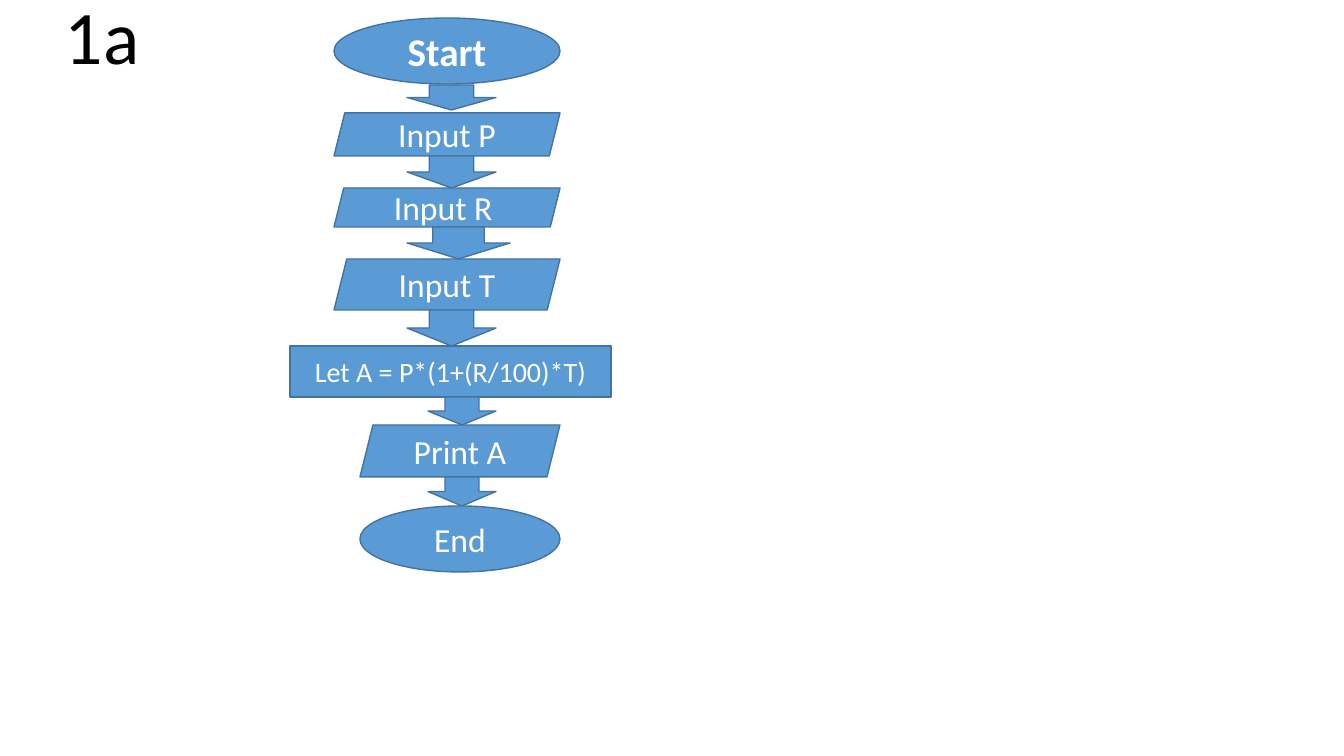
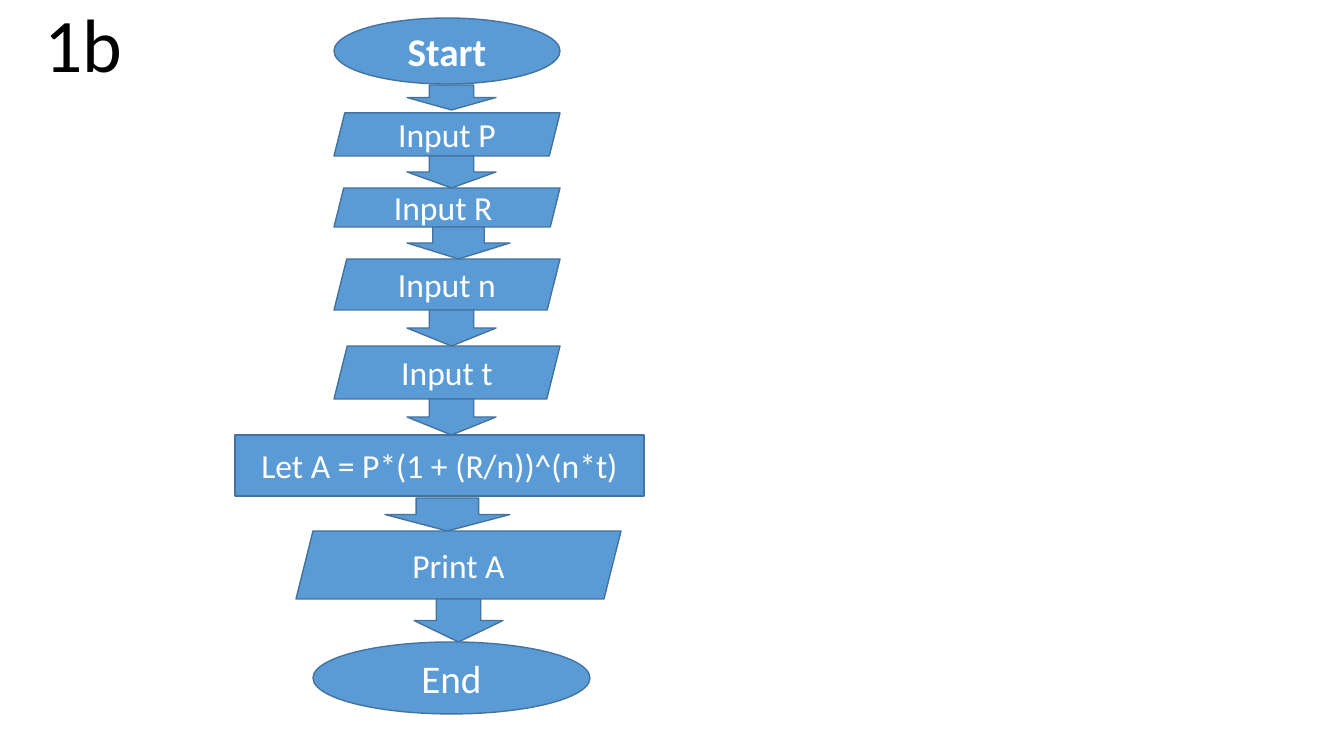
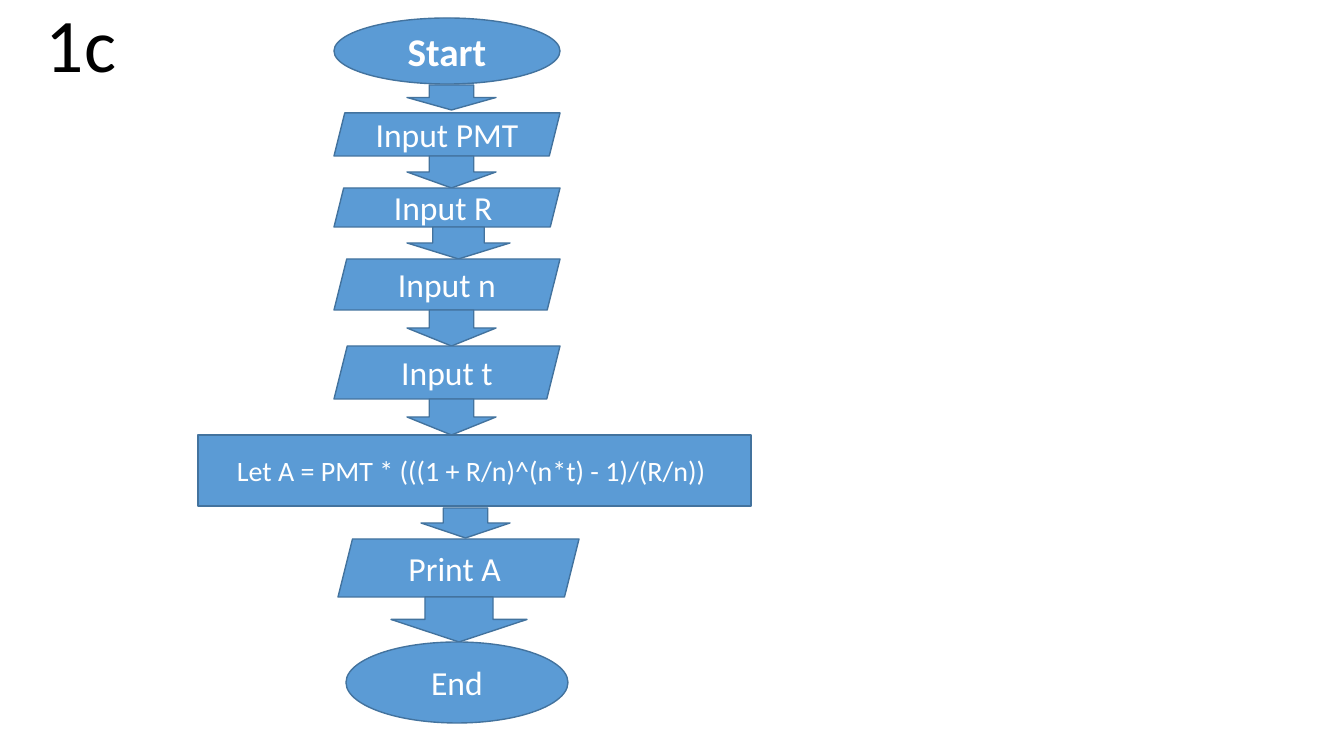
from dataclasses import dataclass

from pptx import Presentation
from pptx.dml.color import RGBColor
from pptx.enum.shapes import MSO_SHAPE
from pptx.enum.text import MSO_ANCHOR, PP_ALIGN
from pptx.util import Emu, Pt

TERMINAL = MSO_SHAPE.OVAL
IN_OUT = MSO_SHAPE.PARALLELOGRAM
PROCESS = MSO_SHAPE.RECTANGLE
DOWN_ARROW = MSO_SHAPE.DOWN_ARROW
MIDDLE = MSO_ANCHOR.MIDDLE
BOTTOM = MSO_ANCHOR.BOTTOM
CENTER = PP_ALIGN.CENTER

EMU_PER_PIXEL = 914400 / 100.8
SLIDE_SIZE = (1344, 756)
BLANK_LAYOUT = 6


@dataclass(frozen=True)
class Theme:
    """Colours, font and type sizes shared by all slides."""
    fill: RGBColor = RGBColor(0x5B, 0x9B, 0xD5)
    outline: RGBColor = RGBColor(0x43, 0x73, 0x9E)
    title_color: RGBColor = RGBColor(0, 0, 0)
    step_color: RGBColor = RGBColor(0xFF, 0xFF, 0xFF)
    font: str = "Calibri"
    outline_width: int = 1
    title_size: int = 54
    large: int = 28
    normal: int = 24
    small: int = 20


THEME = Theme()


@dataclass(frozen=True)
class Arrow:
    """The arrow below a step, with its gaps to the steps it joins."""
    left: int = 407
    width: int = 89
    gap_above: int = 0
    gap_below: int = 0


@dataclass(frozen=True)
class Step:
    """One flowchart step; the last step has no arrow."""
    kind: MSO_SHAPE
    text: str
    left: int
    top: int
    width: int
    height: int
    size: int = THEME.normal
    bold: bool = False
    arrow: Arrow | None = Arrow()


def input_step(text, top, height, arrow=Arrow()):
    """Return an input step in the common column."""
    return Step(IN_OUT, text, 334, top, 226, height, arrow=arrow)


def opening_steps(first_input, third_input):
    """Return the start and the three inputs that open every flowchart."""
    return [
        Step(TERMINAL, "Start", 334, 18, 226, 66, THEME.large, True,
             Arrow(gap_above=1, gap_below=3)),
        input_step(first_input, 113, 43),
        input_step("Input R ", 188, 39, Arrow(width=103)),
        input_step(third_input, 259, 51),
    ]


COMPOUND_INPUT = input_step("Input t", 346, 53)

FLOWCHARTS = [
    ("1a", (14, 18, 176, 68), opening_steps("Input P", "Input T") + [
        Step(PROCESS, "Let A = P*(1+(R/100)*T)", 290, 346, 321, 51,
             THEME.small, arrow=Arrow(428, 68)),
        Step(IN_OUT, "Print A", 360, 425, 200, 52, arrow=Arrow(428, 68)),
        Step(TERMINAL, "End", 360, 506, 200, 66, arrow=None),
    ]),
    ("1b", (0, 0, 166, 94), opening_steps("Input P", "Input n") + [
        COMPOUND_INPUT,
        Step(PROCESS, "Let A = P*(1 + (R/n))^(n*t)", 235, 435, 409, 61,
             arrow=Arrow(385, 125, gap_above=2)),
        Step(IN_OUT, "Print A", 296, 531, 325, 68, arrow=Arrow(414)),
        Step(TERMINAL, "End", 313, 642, 277, 72, THEME.large, arrow=None),
    ]),
    ("1c", (0, 0, 162, 94), opening_steps("Input PMT", "Input n") + [
        COMPOUND_INPUT,
        Step(PROCESS, "Let A = PMT * (((1 + R/n)^(n*t) - 1)/(R/n)) ",
             198, 435, 553, 71, THEME.small,
             arrow=Arrow(421, gap_above=2, gap_below=1)),
        Step(IN_OUT, "Print A ", 338, 539, 241, 58, arrow=Arrow(391, 136)),
        Step(TERMINAL, "End", 346, 642, 222, 81, arrow=None),
    ]),
]


def px(*lengths):
    """Turn pixel lengths into EMU."""
    return [Emu(round(length * EMU_PER_PIXEL)) for length in lengths]


def write_text(frame, text, color, size, anchor, bold=False, spacing=1.0):
    """Write one centred paragraph into a text frame."""
    paragraph = frame.paragraphs[0]
    run = paragraph.add_run()
    run.text = text
    run.font.color.rgb = color
    formats = [
        (frame, {"word_wrap": True, "vertical_anchor": anchor}),
        (paragraph, {"alignment": CENTER, "line_spacing": spacing}),
        (run.font, {"name": THEME.font, "size": Pt(size), "bold": bold}),
    ]
    for target, values in formats:
        for attribute, value in values.items():
            setattr(target, attribute, value)


def add_title(slide, text, box):
    """Add the exercise number."""
    title = slide.shapes.add_textbox(*px(*box))
    write_text(title.text_frame, text, THEME.title_color, THEME.title_size,
               BOTTOM, spacing=0.9)


def add_block(slide, kind, *box):
    """Add a filled and outlined shape."""
    block = slide.shapes.add_shape(kind, *px(*box))
    block.shadow.inherit = False
    block.fill.solid()
    block.fill.fore_color.rgb = THEME.fill
    block.line.color.rgb = THEME.outline
    block.line.width = Pt(THEME.outline_width)
    return block


def add_step(slide, step):
    """Add a flowchart step with its label."""
    block = add_block(slide, step.kind, step.left, step.top,
                      step.width, step.height)
    write_text(block.text_frame, step.text, THEME.step_color, step.size,
               MIDDLE, step.bold)


def add_arrow(slide, step, following):
    """Add the arrow that fills the space between two steps."""
    arrow = step.arrow
    top = step.top + step.height + arrow.gap_above
    height = following.top - arrow.gap_below - top
    add_block(slide, DOWN_ARROW, arrow.left, top, arrow.width, height)


def add_flowchart(slide, steps):
    """Add the steps from top to bottom, joined by arrows."""
    for step, following in zip(steps, steps[1:] + [None]):
        add_step(slide, step)
        if following:
            add_arrow(slide, step, following)


def main():
    """Build one slide for each flowchart."""
    presentation = Presentation()
    presentation.slide_width, presentation.slide_height = px(*SLIDE_SIZE)
    layout = presentation.slide_layouts[BLANK_LAYOUT]
    for title, title_box, steps in FLOWCHARTS:
        slide = presentation.slides.add_slide(layout)
        add_title(slide, title, title_box)
        add_flowchart(slide, steps)
    presentation.save("out.pptx")


main()
